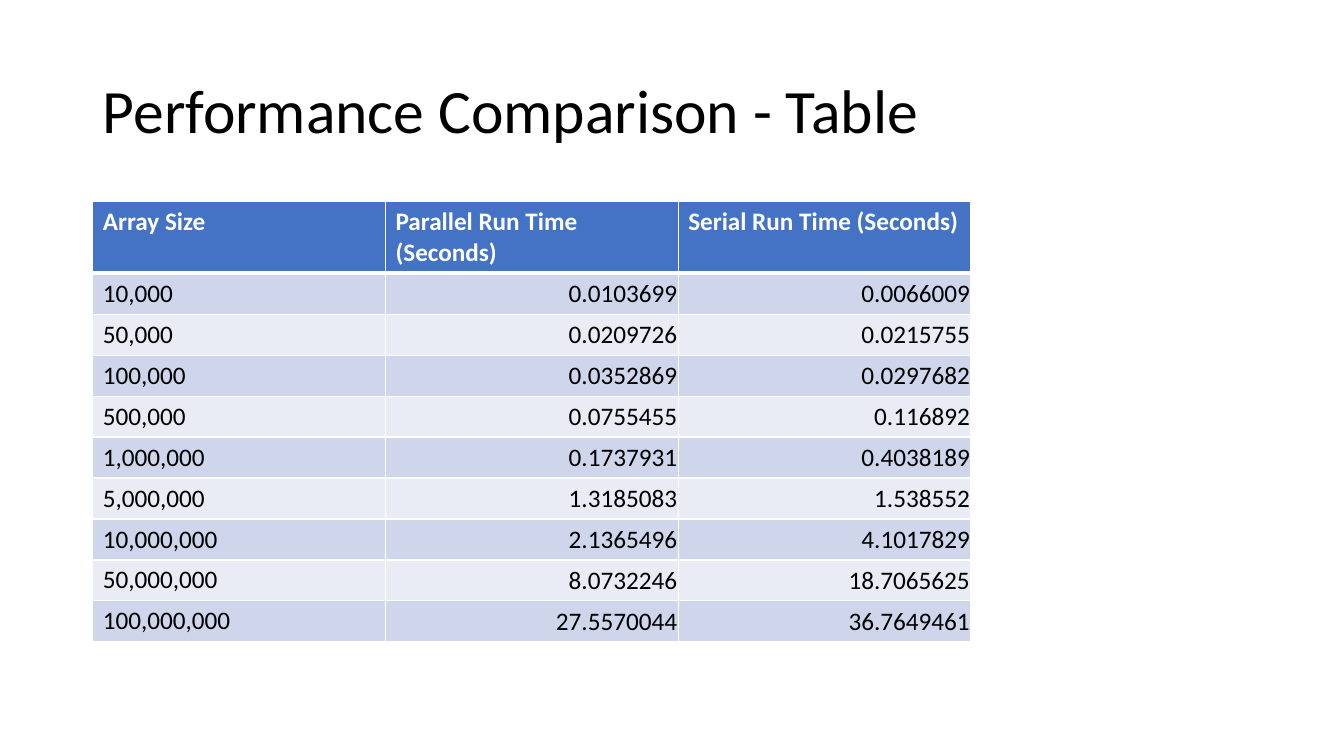
from dataclasses import dataclass
from lxml.etree import SubElement
from pptx import Presentation
from pptx.dml.color import RGBColor
from pptx.enum.text import MSO_ANCHOR, PP_ALIGN
from pptx.oxml.ns import qn
from pptx.util import Inches, Pt

TITLE = "Performance Comparison - Table"
HEADER = ("Array Size", "Parallel Run Time (Seconds)", "Serial Run Time (Seconds)")
RUNS = [
    ("10,000", "0.0103699", "0.0066009"),
    ("50,000", "0.0209726", "0.0215755"),
    ("100,000", "0.0352869", "0.0297682"),
    ("500,000", "0.0755455", "0.116892"),
    ("1,000,000", "0.1737931", "0.4038189"),
    ("5,000,000", "1.3185083", "1.538552"),
    ("10,000,000", "2.1365496", "4.1017829"),
    ("50,000,000", "8.0732246", "18.7065625"),
    ("100,000,000", "27.5570044", "36.7649461"),
]


@dataclass(frozen=True)
class Theme:
    font: str = "Calibri"
    title_size: int = 44
    table_size: int = 18
    ink: str = "000000"
    white: str = "FFFFFF"
    header: str = "4472C4"
    bands: tuple = ("CFD5EA", "E9EBF5")
    rule: int = 1
    header_rule: int = 3


THEME = Theme()
LEFT = 0.92
TABLE_TOP, TABLE_WIDTH, TABLE_HEIGHT, HEADER_HEIGHT = 2, 8.71, 4.35, 0.69


def write(tf, text, size=THEME.table_size, color=THEME.ink, bold=False,
          align=PP_ALIGN.LEFT, spacing=1.0):
    p = tf.paragraphs[0]
    p.alignment = align
    p.line_spacing = spacing
    r = p.add_run()
    r.text = text
    r.font.name = THEME.font
    r.font.size = Pt(size)
    r.font.bold = bold
    r.font.color.rgb = RGBColor.from_string(color)


def add_borders(cell, **widths):
    tc_pr = cell._tc.get_or_add_tcPr()
    for side in ("L", "R", "T", "B"):
        width = widths.get(side, THEME.rule)
        ln = SubElement(tc_pr, qn(f"a:ln{side}"), w=str(Pt(width)))
        fill = SubElement(ln, qn("a:solidFill"))
        SubElement(fill, qn("a:srgbClr"), val=THEME.white)


def paint(cell, color):
    cell.fill.solid()
    cell.fill.fore_color.rgb = RGBColor.from_string(color)


prs = Presentation()
prs.slide_width, prs.slide_height = Inches(13.33), Inches(7.5)
s = prs.slides.add_slide(prs.slide_layouts[5])

title = s.shapes.title
title.left, title.top = Inches(LEFT), Inches(0.4)
title.width, title.height = Inches(11.5), Inches(1.45)
title.text_frame.vertical_anchor = MSO_ANCHOR.MIDDLE
write(title.text_frame, TITLE, size=THEME.title_size, spacing=0.9)

table = s.shapes.add_table(
    len(RUNS) + 1, len(HEADER), Inches(LEFT), Inches(TABLE_TOP),
    Inches(TABLE_WIDTH), Inches(TABLE_HEIGHT)).table
for column in table.columns:
    column.width = Inches(TABLE_WIDTH / len(HEADER))
for i, row in enumerate(table.rows):
    row.height = Inches((TABLE_HEIGHT - HEADER_HEIGHT) / len(RUNS) if i else HEADER_HEIGHT)

for j, text in enumerate(HEADER):
    cell = table.cell(0, j)
    add_borders(cell, B=THEME.header_rule)
    paint(cell, THEME.header)
    write(cell.text_frame, text, color=THEME.white, bold=True)

for i, run in enumerate(RUNS):
    for j, text in enumerate(run):
        cell = table.cell(i + 1, j)
        add_borders(cell, T=THEME.rule if i else THEME.header_rule)
        paint(cell, THEME.bands[i % 2])
        if j:
            cell.vertical_anchor = MSO_ANCHOR.MIDDLE
            cell.margin_left = cell.margin_top = cell.margin_right = Inches(0.01)
            cell.margin_bottom = 0
        write(cell.text_frame, text, align=PP_ALIGN.RIGHT if j else PP_ALIGN.LEFT)

prs.save("out.pptx")
